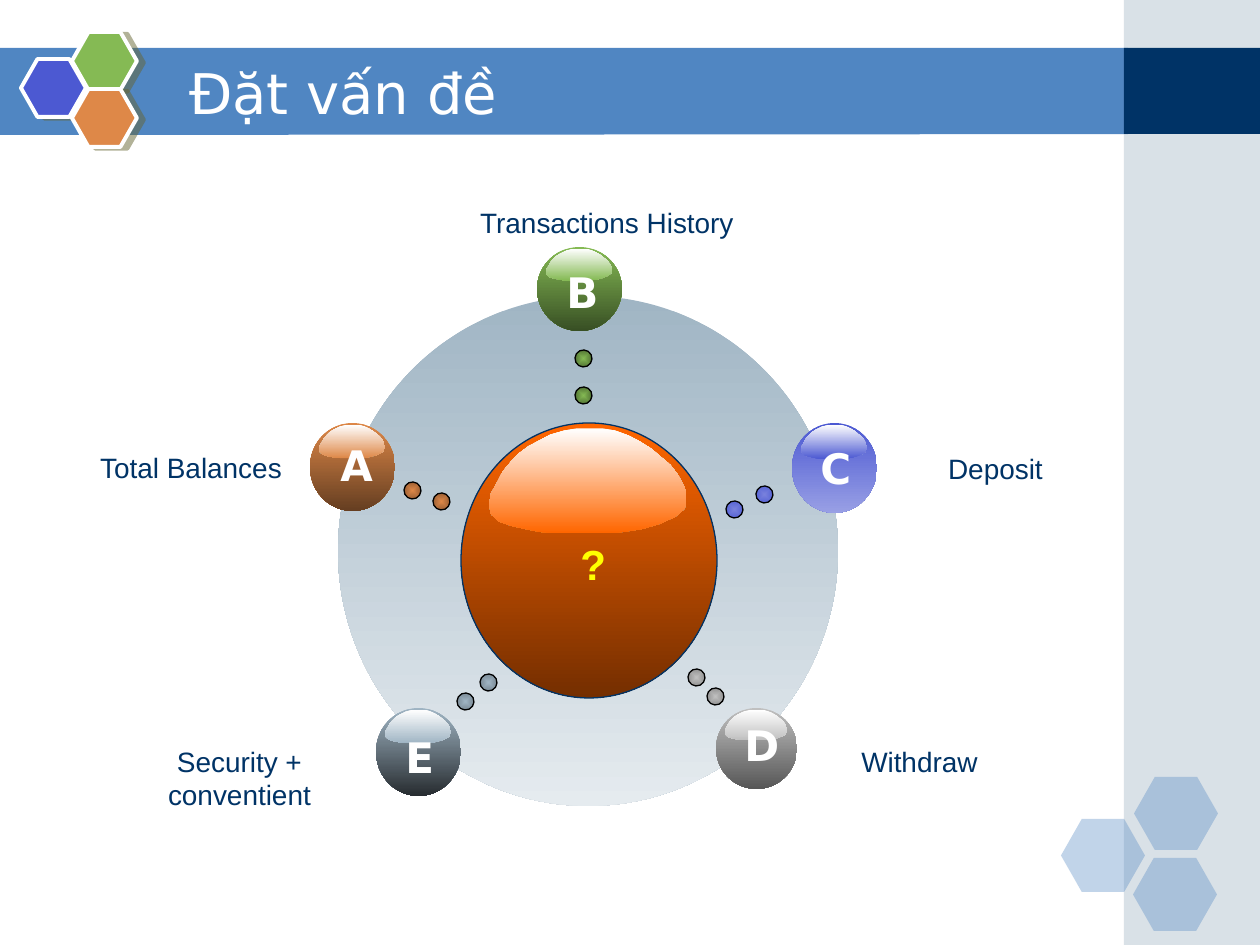
from lxml.etree import SubElement
from pptx import Presentation
from pptx.dml.color import RGBColor
from pptx.enum.shapes import MSO_SHAPE
from pptx.enum.text import MSO_ANCHOR, MSO_AUTO_SIZE, PP_ALIGN
from pptx.oxml.ns import qn
from pptx.util import Emu, Pt

SCALE = 914400 / 126

WHITE = RGBColor(0xFF, 0xFF, 0xFF)
BLACK = RGBColor(0x00, 0x00, 0x00)
NAVY = RGBColor(0x00, 0x33, 0x66)
BLUE = RGBColor(0x50, 0x86, 0xC2)
STEEL = RGBColor(0xA0, 0xB5, 0xC4)
STEEL_MID = RGBColor(0x6B, 0x79, 0x83)
STEEL_DARK = RGBColor(0x27, 0x2C, 0x30)
STEEL_PALE = RGBColor(0xE5, 0xEB, 0xEF)
INDIGO = RGBColor(0x4C, 0x59, 0xD2)
INDIGO_MID = RGBColor(0x78, 0x81, 0xDD)
INDIGO_PALE = RGBColor(0x98, 0x9F, 0xE5)
GREEN = RGBColor(0x85, 0xBA, 0x54)
GREEN_MID = RGBColor(0x3C, 0x55, 0x26)
GREEN_DARK = RGBColor(0x38, 0x4F, 0x24)
COPPER = RGBColor(0xDE, 0x88, 0x48)
COPPER_MID = RGBColor(0x80, 0x4E, 0x2A)
COPPER_DARK = RGBColor(0x65, 0x3E, 0x21)
SILVER = RGBColor(0xC0, 0xC0, 0xC0)
SILVER_MID = RGBColor(0x80, 0x80, 0x80)
SILVER_DARK = RGBColor(0x57, 0x57, 0x57)
ORANGE = RGBColor(0xFF, 0x66, 0x00)
ORANGE_DARK = RGBColor(0x74, 0x2E, 0x00)
YELLOW = RGBColor(0xFF, 0xFF, 0x00)
OLIVE = RGBColor(0x66, 0x66, 0x33)

BAR_OUTLINE = [(0, 0), (100, 0), (100, 99), (0, 100)]
GLOSS_OUTLINE = [
    (99, 56), (100, 62), (100, 72), (99, 77), (96, 82), (94, 85), (90, 88),
    (87, 91), (78, 96), (68, 99), (60, 100), (36, 100), (26, 99), (18, 96),
    (11, 93), (5, 89), (1, 82), (0, 73), (1, 62), (4, 52), (7, 41), (11, 32),
    (15, 24), (20, 17), (26, 11), (31, 6), (38, 2), (44, 0), (51, 0), (58, 0),
    (64, 2), (71, 7), (76, 12), (82, 19), (87, 27), (92, 35), (96, 45),
]


def px(length):
    """Turn a length in px into EMU."""
    return Emu(round(length * SCALE))


class SlideArtist:
    """Draws the elements of one slide in a shared style."""

    label_font = "Arial"
    display_font = "DejaVu Sans"
    dot_size = 17

    def __init__(self, slide):
        self.slide = slide

    def paint(self, shape, fill, line=None, weight=0.75, alpha=None):
        shape.shadow.inherit = False
        if isinstance(fill, RGBColor):
            shape.fill.solid()
            shape.fill.fore_color.rgb = fill
        else:
            shape.fill.gradient()
            shape.fill.gradient_angle = 270
            for stop, color in zip(shape.fill.gradient_stops, fill):
                stop.color.rgb = color
        if alpha:
            color = shape._element.spPr.find(".//" + qn("a:srgbClr"))
            SubElement(color, qn("a:alpha"), val=str(alpha * 1000))
        if line is None:
            shape.line.fill.background()
        else:
            shape.line.color.rgb = line
            shape.line.width = Pt(weight)
        return shape

    def preset(self, kind, box, fill, **style):
        shape = self.slide.shapes.add_shape(kind, *map(px, box))
        return self.paint(shape, fill, **style)

    def outline(self, points, box, fill):
        left, top, width, height = box
        builder = self.slide.shapes.build_freeform(
            *points[0], scale=(width * SCALE / 100, height * SCALE / 100))
        builder.add_line_segments(points[1:], close=True)
        return self.paint(builder.convert_to_shape(px(left), px(top)), fill)

    def hexagon(self, box, fill, **style):
        shape = self.preset(MSO_SHAPE.HEXAGON, box, fill, **style)
        shape.adjustments[0] = 0.285
        return shape

    def badge(self, box, fill):
        shape = self.hexagon(box, fill, line=WHITE, weight=2.25)
        effects = shape._element.spPr.find(qn("a:effectLst"))
        shadow = SubElement(effects, qn("a:outerShdw"), dist=str(Pt(4.1)),
                            dir=str(14 * 60000), algn="ctr", rotWithShape="0")
        color = SubElement(shadow, qn("a:srgbClr"), val=str(OLIVE))
        SubElement(color, qn("a:alpha"), val="50000")

    def sphere(self, box, light, dark, line=None):
        left, top, width, height = box
        self.preset(MSO_SHAPE.OVAL, box, (light, dark), line=line)
        gloss_box = (left + 0.11 * width, top + 0.02 * height,
                     0.77 * width, 0.38 * height)
        self.outline(GLOSS_OUTLINE, gloss_box, (WHITE, light))

    def dot(self, left, top, light, dark):
        box = (left, top, self.dot_size, self.dot_size)
        shape = self.preset(MSO_SHAPE.OVAL, box, (light, dark), line=BLACK)
        shape.rotation = 304
        gradient = shape._element.spPr.find(qn("a:gradFill"))
        gradient.remove(gradient.find(qn("a:lin")))
        radial = SubElement(gradient, qn("a:path"), path="rect")
        SubElement(radial, qn("a:fillToRect"), l="50000", t="50000", r="50000", b="50000")

    def text(self, words, box, size, color, font, bold=False, wrap=True):
        shape = self.slide.shapes.add_textbox(*map(px, box))
        frame = shape.text_frame
        frame.word_wrap = wrap
        frame.auto_size = MSO_AUTO_SIZE.SHAPE_TO_FIT_TEXT
        frame.text = words
        paragraph = frame.paragraphs[0]
        paragraph.alignment = PP_ALIGN.CENTER
        style = paragraph.runs[0].font
        style.name, style.size, style.bold = font, Pt(size), bold
        style.color.rgb = color
        return frame

    def label(self, words, box):
        self.text(words, box, 16, NAVY, self.label_font)

    def letter(self, words, box, color=WHITE, font=display_font):
        self.text(words, box, 24, color, font, bold=True, wrap=False)

    def title(self, words, box):
        frame = self.text(words, box, 32, WHITE, self.display_font)
        frame.auto_size = MSO_AUTO_SIZE.NONE
        frame.vertical_anchor = MSO_ANCHOR.MIDDLE
        frame.margin_left = px(31)
        frame.paragraphs[0].alignment = PP_ALIGN.LEFT


def main():
    deck = Presentation()
    deck.slide_width, deck.slide_height = px(1260), px(945)
    artist = SlideArtist(deck.slides.add_slide(deck.slide_layouts[6]))

    artist.outline(BAR_OUTLINE, (-1, 48, 1129, 87), BLUE)
    artist.preset(MSO_SHAPE.RECTANGLE, (1124, 0, 136, 945), STEEL, alpha=40)
    artist.preset(MSO_SHAPE.RECTANGLE, (1124, 48, 136, 86), NAVY)
    for left, top in [(1061, 819), (1134, 777), (1133, 858)]:
        artist.hexagon((left, top, 84, 73), BLUE, alpha=35)
    for left, top, color in [(21, 59, INDIGO), (72, 32, GREEN), (72, 89, COPPER)]:
        artist.badge((left, top, 65, 58), color)
    artist.title("Đặt vấn đề", (158, 53, 924, 78))

    artist.preset(MSO_SHAPE.OVAL, (338, 296, 500, 510), (STEEL, STEEL_PALE))
    artist.sphere((461, 423, 256, 275), ORANGE, ORANGE_DARK, line=NAVY)
    artist.letter("?", (568, 532, 50, 63), YELLOW, artist.label_font)

    nodes = [
        ("B", (537, 247, 85, 84), (554, 260, 53, 63), (GREEN, GREEN_DARK),
         (GREEN, GREEN_MID), [(575, 350), (575, 387)],
         "Transactions History", (461, 199, 292, 47)),
        ("E", (376, 708, 85, 88), (393, 725, 48, 63), (STEEL, STEEL_DARK),
         (STEEL, STEEL_MID), [(457, 693), (480, 674)],
         "Security + conventient", (121, 738, 237, 81)),
        ("C", (792, 423, 85, 90), (808, 436, 52, 63), (INDIGO, INDIGO_PALE),
         (INDIGO_MID, INDIGO), [(756, 486), (726, 501)],
         "Deposit", (877, 445, 237, 47)),
        ("D", (716, 708, 81, 81), (732, 713, 56, 63), (SILVER, SILVER_DARK),
         (SILVER, SILVER_MID), [(707, 688), (688, 669)],
         "Withdraw", (801, 738, 237, 47)),
        ("A", (310, 423, 85, 88), (328, 433, 54, 63), (COPPER, COPPER_DARK),
         (COPPER, COPPER_MID), [(404, 482), (433, 493)],
         "Total Balances", (73, 444, 236, 47)),
    ]
    for letter, ball, letter_box, shades, dot_shades, dots, topic, topic_box in nodes:
        artist.sphere(ball, *shades)
        artist.letter(letter, letter_box)
        for left, top in dots:
            artist.dot(left, top, *dot_shades)
        artist.label(topic, topic_box)

    deck.save("out.pptx")


if __name__ == "__main__":
    main()
